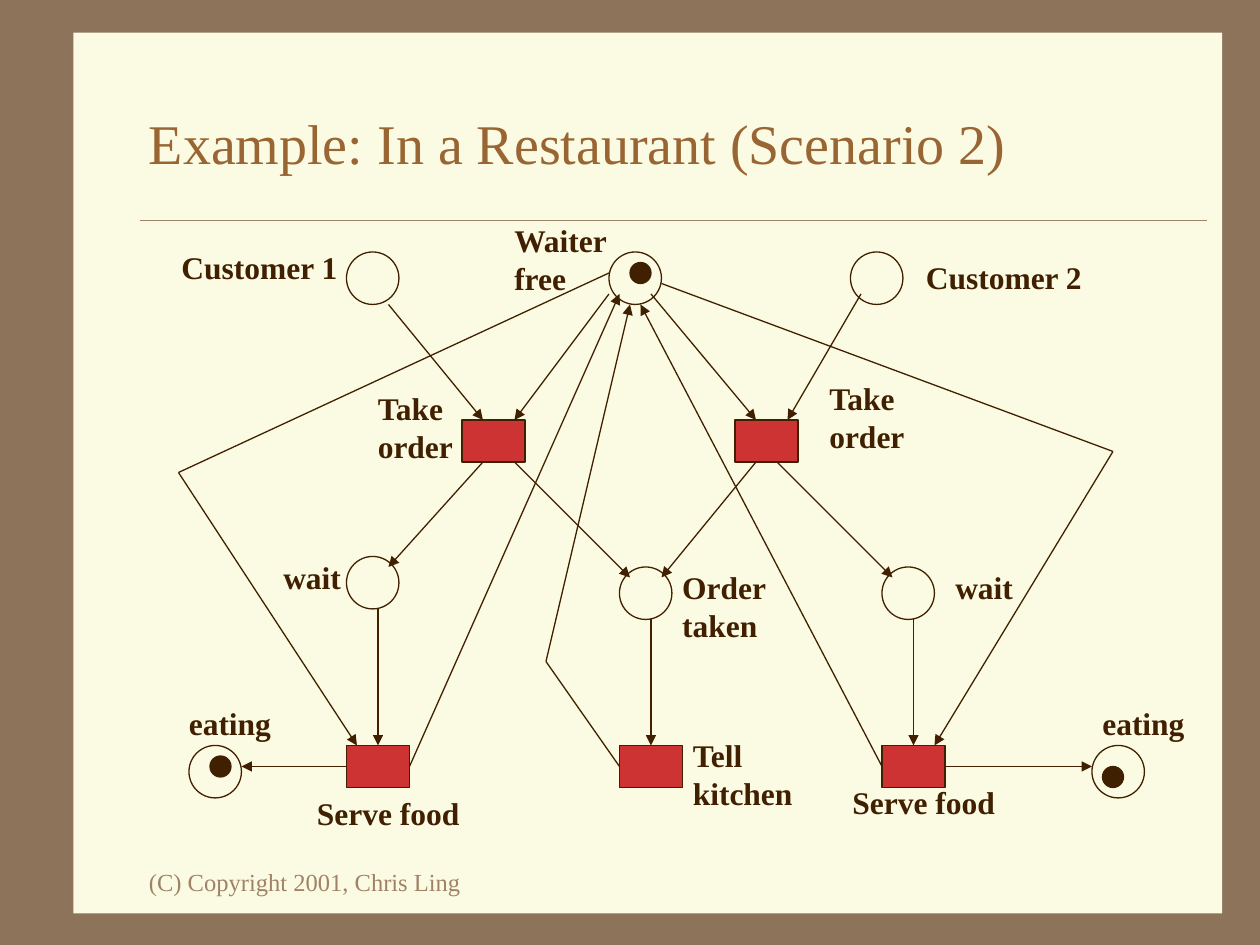
from dataclasses import dataclass
from itertools import pairwise

from lxml import etree
from pptx import Presentation
from pptx import util as u
from pptx.dml.color import RGBColor
from pptx.enum import shapes, text
from pptx.oxml.ns import qn

PX = u.Inches(1) // 120  # 120 px to the inch


@dataclass(frozen=True)
class Theme:
    font: str = "Times New Roman"
    border: str = "8C735A"
    paper: str = "FBFAE2"
    muted: str = "A08366"
    heading: str = "996633"
    ink: str = "402000"
    transition: str = "CD3333"
    title_size: int = 32
    label_size: int = 18
    footer_size: int = 14
    line: float = 0.75
    hairline: float = 0.25


THEME = Theme()
PLACE, TOKEN, TRANSITION = (50, 50), (20, 20), (60, 40)

# Positions below are relative to the diagram box.
PLACES = [(170, 40), (420, 40), (650, 40), (170, 330), (430, 340), (680, 340),
          (20, 510), (880, 510)]
TRANSITIONS = [(280, 200), (540, 200), (170, 510), (430, 510), (680, 510)]
TOKENS = [(440, 50), (40, 520), (890, 530)]
ARCS = [
    # into and out of "Take order"
    [(210, 90), (300, 200)],
    [(420, 80), (330, 200)],
    [(460, 80), (560, 200)],
    [(660, 80), (590, 200)],
    [(300, 240), (210, 340)],
    [(330, 240), (440, 350)],
    [(560, 240), (470, 350)],
    [(580, 240), (690, 350)],
    # into "Serve food" and "Tell kitchen"
    [(200, 380), (200, 510)],
    [(460, 390), (460, 510)],
    [(710, 390), (710, 510)],
    [(420, 60), (10, 250), (180, 510)],
    [(470, 70), (900, 230), (730, 510)],
    # on to "eating", and back to "Waiter free"
    [(170, 530), (70, 530)],
    [(740, 530), (880, 530)],
    [(230, 530), (430, 80)],
    [(430, 530), (360, 430), (440, 90)],
    [(680, 530), (450, 90)],
]
LABELS = [
    ("Customer 1", 1, 30, 173),
    ("Waiter\nfree", 318, 5, 118),
    ("Customer 2", 710, 40, 173),
    ("Take\norder", 188, 165, 100),
    ("Take\norder", 618, 155, 100),
    ("wait", 98, 326, 79),
    ("Order\ntaken", 478, 335, 108),
    ("wait", 738, 335, 79),
    ("eating", 8, 465, 102),
    ("Serve food", 130, 550, 160),
    ("Tell\nkitchen", 488, 495, 124),
    ("Serve food", 640, 540, 160),
    ("eating", 878, 465, 102),
]


def color(value):
    return RGBColor.from_string(value)


def add_text(slide, content, box, *, size, fill, bold=False, wrap=True,
             anchor=text.MSO_ANCHOR.TOP):
    """Add a text box with one paragraph for each line of content."""
    shape = slide.shapes.add_textbox(*(n * PX for n in box))
    frame = shape.text_frame
    frame.word_wrap = wrap
    frame.auto_size = (text.MSO_AUTO_SIZE.NONE if wrap
                       else text.MSO_AUTO_SIZE.SHAPE_TO_FIT_TEXT)
    frame.vertical_anchor = anchor
    frame.text = content
    for paragraph in frame.paragraphs:
        font = paragraph.font
        font.name, font.size, font.bold = THEME.font, u.Pt(size), bold
        font.color.rgb = color(fill)


def add_shape(slide, kind, box, fill=None, line=None):
    shape = slide.shapes.add_shape(kind, *(n * PX for n in box))
    shape.shadow.inherit = False
    if fill:
        shape.fill.solid()
        shape.fill.fore_color.rgb = color(fill)
    else:
        shape.fill.background()
    if line:
        shape.line.color.rgb = color(line)
        shape.line.width = u.Pt(THEME.line)
    else:
        shape.line.fill.background()


def add_line(slide, start, end, *, stroke, width, arrow=False):
    connector = slide.shapes.add_connector(
        shapes.MSO_CONNECTOR.STRAIGHT, *(n * PX for n in (*start, *end)))
    connector.line.color.rgb = color(stroke)
    connector.line.width = u.Pt(width)
    if arrow:
        outline = connector.line._get_or_add_ln()
        etree.SubElement(outline, qn("a:tailEnd"), type="triangle")
    etree.SubElement(connector._element.spPr, qn("a:effectLst"))


def add_page(slide, box):
    """Draw the sheet with its title, rule and copyright line."""
    left, top, width, height = box
    slide.background.fill.solid()
    slide.background.fill.fore_color.rgb = color(THEME.border)
    add_shape(slide, shapes.MSO_SHAPE.RECTANGLE, box, THEME.paper)
    add_line(slide, (left + 63, top + 179), (left + 1080, top + 179),
             stroke=THEME.muted, width=THEME.hairline)
    add_text(slide, "Example: In a Restaurant (Scenario 2)",
             (left + 60, top + 29, width - 74, 150), size=THEME.title_size,
             fill=THEME.heading, anchor=text.MSO_ANCHOR.MIDDLE)
    add_text(slide, "(C) Copyright 2001, Chris Ling",
             (left + 60, top + height - 50, 330, 40),
             size=THEME.footer_size, fill=THEME.muted)


def add_petri_net(slide, left, top):
    def moved(point):
        return left + point[0], top + point[1]

    oval, rectangle = shapes.MSO_SHAPE.OVAL, shapes.MSO_SHAPE.RECTANGLE
    for place in PLACES:
        add_shape(slide, oval, (*moved(place), *PLACE), line=THEME.ink)
    for arc in ARCS:
        for start, end in pairwise(arc):
            add_line(slide, moved(start), moved(end), stroke=THEME.ink,
                     width=THEME.line, arrow=end == arc[-1])
    for content, x, y, width in LABELS:
        height = 84 if "\n" in content else 48
        add_text(slide, content, (*moved((x, y)), width, height),
                 size=THEME.label_size, fill=THEME.ink, bold=True, wrap=False)
    for transition in TRANSITIONS:
        add_shape(slide, rectangle, (*moved(transition), *TRANSITION),
                  THEME.transition, THEME.ink)
    for token in TOKENS:
        add_shape(slide, oval, (*moved(token), *TOKEN), THEME.ink, THEME.ink)


def main():
    presentation = Presentation()
    presentation.slide_width, presentation.slide_height = 1200 * PX, 900 * PX
    slide = presentation.slides.add_slide(presentation.slide_layouts[6])
    add_page(slide, (70, 31, 1094, 839))
    add_petri_net(slide, 160, 200)
    presentation.save("out.pptx")


if __name__ == "__main__":
    main()
